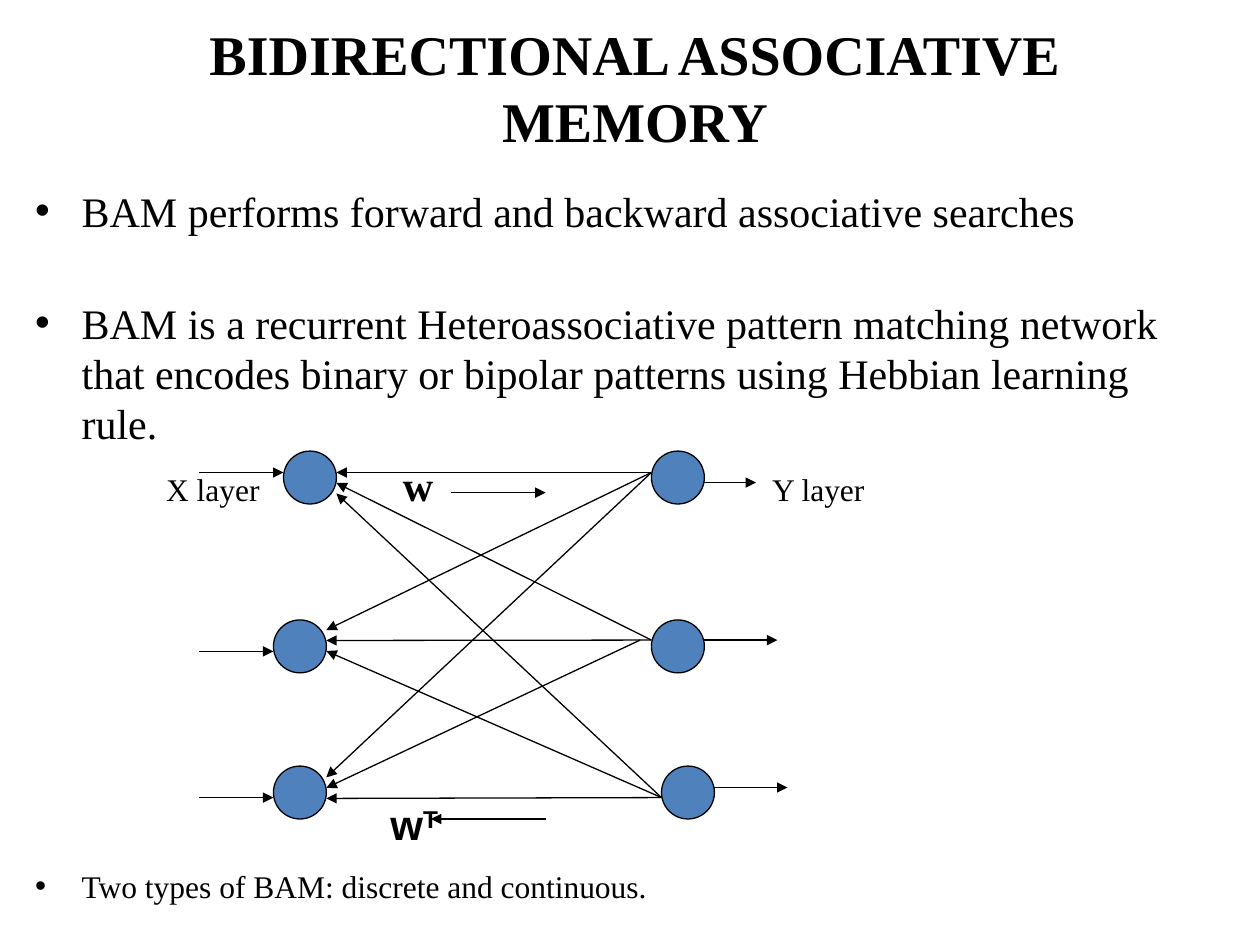
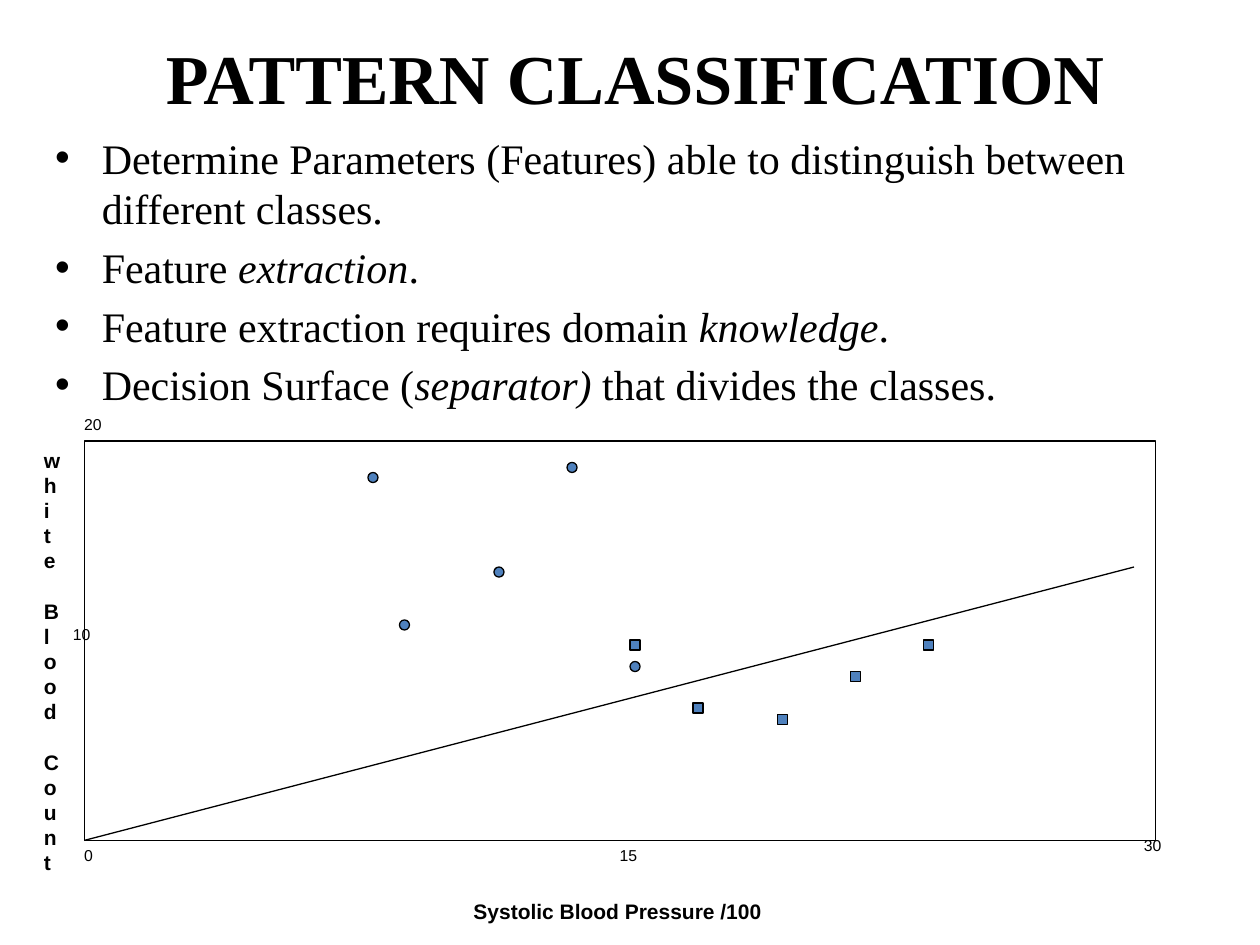
from lxml import etree
from pptx import Presentation
from pptx.dml.color import RGBColor
from pptx.enum.shapes import MSO_CONNECTOR as Connector, MSO_SHAPE as Shape
from pptx.enum.text import MSO_ANCHOR as Anchor, PP_ALIGN as Align
from pptx.oxml.ns import qn
from pptx.util import Inches, Pt

COLORS = {"ink": "000000", "marker": "4F81BD"}
SERIF, SANS = "Times New Roman", "Arial"


class SlideBuilder:
    """Holds the shared style and the slide being drawn."""

    def __init__(self, presentation):
        self.presentation = presentation
        self.slide = None

    def new_slide(self):
        self.slide = self.presentation.slides.add_slide(self.presentation.slide_layouts[6])

    def color(self, name):
        return RGBColor.from_string(COLORS[name])

    def frame(self, left, top, width, height, wrap=True):
        box = self.slide.shapes.add_textbox(
            Inches(left), Inches(top), Inches(width), Inches(height))
        box.text_frame.word_wrap = wrap
        return box.text_frame

    def style(self, run, size, font=SERIF, bold=False, italic=False):
        run.font.size = Pt(size)
        run.font.name = font
        run.font.bold = bold
        run.font.italic = italic
        run.font.color.rgb = self.color("ink")

    def title(self, text, height, size):
        text_frame = self.frame(0.58, 0.3, 8.92, height)
        text_frame.text = text
        text_frame.vertical_anchor = Anchor.MIDDLE
        paragraph = text_frame.paragraphs[0]
        paragraph.alignment = Align.CENTER
        self.style(paragraph.runs[0], size, bold=True)

    def label(self, text, left, top, width, height, size, wrap=True, **style):
        text_frame = self.frame(left, top, width, height, wrap)
        text_frame.text = text
        for paragraph in text_frame.paragraphs:
            self.style(paragraph.runs[0], size, **style)
        return text_frame

    def bullets(self, items, left, top, width, height):
        """Each item is (parts, size, space before); every second part is italic."""
        text_frame = self.frame(left, top, width, height)
        for index, (parts, size, space) in enumerate(items):
            paragraph = text_frame.add_paragraph() if index else text_frame.paragraphs[0]
            paragraph.space_before = Pt(space)
            for position, part in enumerate(parts):
                run = paragraph.add_run()
                run.text = part
                self.style(run, size, italic=position % 2 == 1)
            properties = paragraph._p.get_or_add_pPr()
            properties.set("marL", str(Inches(0.38)))
            properties.set("indent", str(Inches(-0.37)))
            bullet_font = etree.SubElement(properties, qn("a:buFont"))
            bullet_font.set("typeface", SANS)
            etree.SubElement(properties, qn("a:buChar")).set("char", "•")

    def shape(self, kind, left, top, width, height, fill=None):
        shape = self.slide.shapes.add_shape(
            kind, Inches(left), Inches(top), Inches(width), Inches(height))
        shape.shadow.inherit = False
        if fill:
            shape.fill.solid()
            shape.fill.fore_color.rgb = self.color(fill)
        else:
            shape.fill.background()
        shape.line.color.rgb = self.color("ink")
        shape.line.width = Pt(0.75)

    def line(self, start, end, arrow=True):
        connector = self.slide.shapes.add_connector(
            Connector.STRAIGHT, *(Inches(value) for value in (*start, *end)))
        connector.line.color.rgb = self.color("ink")
        connector.line.width = Pt(0.75)
        if arrow:
            tail = etree.SubElement(connector.line._get_or_add_ln(), qn("a:tailEnd"))
            tail.set("type", "triangle")
        etree.SubElement(connector._element.spPr, qn("a:effectLst"))


def build_memory_slide(builder):
    builder.new_slide()
    builder.title("BIDIRECTIONAL ASSOCIATIVE MEMORY", 0.78, 32)
    builder.bullets([
        (["BAM performs forward and backward associative searches"], 24, 4.8),
        (["BAM is a recurrent Heteroassociative pattern matching network that encodes "
          "binary or bipolar patterns using Hebbian learning rule."], 24, 35.2),
        (["Two types of BAM: discrete and continuous."], 18, 239),
    ], 0.17, 1.42, 9.33, 5.58)

    # Layer and weight labels
    builder.label("X layer", 1.22, 3.68, 1.0, 0.4, 18)
    builder.label("w", 3.1, 3.6, 0.5, 0.5, 24, bold=True)
    builder.label("Y layer", 6.03, 3.68, 1.1, 0.4, 18)

    # Neurons of both layers
    diameter = 0.42
    tops = [3.58, 4.92, 6.08]
    x_lefts, y_lefts = [2.25, 2.17, 2.17], [5.17, 5.17, 5.25]
    for top, x_left, y_left in zip(tops, x_lefts, y_lefts):
        for left in (x_left, y_left):
            builder.shape(Shape.OVAL, left, top, diameter, diameter, "marker")

    # Every Y neuron feeds every X neuron, arrowheads stepping down
    link_starts = [3.75, 5.08, 6.33]
    link_ends = [3.75, 5.0, 6.17]
    for source, (y_left, start_y) in enumerate(zip(y_lefts, link_starts)):
        for target, (x_left, end_y) in enumerate(zip(x_lefts, link_ends)):
            start_x = 5.08 if (source, target) == (1, 2) else y_left
            builder.line((start_x, start_y), (x_left + diameter, end_y + source / 12))

    # Inputs and outputs
    for x_left, y in zip(x_lefts, [3.75, 5.17, 6.33]):
        builder.line((1.58, y), (x_left, y))
    for y_left, y, end_x in zip(y_lefts, [3.83, 5.08, 6.25], [6.0, 6.17, 6.25]):
        builder.line((y_left + diameter, y), (end_x, y))

    # Forward and backward directions
    builder.line((3.58, 3.91), (4.33, 3.91))
    builder.line((4.33, 6.5), (3.42, 6.5))
    text_frame = builder.label("w", 3, 6.29, 0.68, 0.5, 24, font=SANS, bold=True)
    transpose = text_frame.paragraphs[0].add_run()
    transpose.text = "T"
    builder.style(transpose, 24, SANS, bold=True)
    transpose.font._element.set("baseline", "30000")


def build_classification_slide(builder):
    builder.new_slide()
    builder.title("PATTERN CLASSIFICATION", 0.62, 40)
    features = [
        ["Determine Parameters (Features) able to distinguish between different classes."],
        ["Feature ", "extraction", "."],
        ["Feature extraction requires domain ", "knowledge", "."],
        ["Decision Surface (", "separator) ", "that divides the classes."],
    ]
    builder.bullets([(parts, 24, 4.8) for parts in features], 0.33, 1, 9.17, 6)

    # Plot area and separator
    builder.shape(Shape.RECTANGLE, 0.67, 3.5, 8.5, 3.17)
    builder.line((0.67, 6.67), (9, 4.5), arrow=False)

    # Samples of the two classes
    samples = {
        Shape.RECTANGLE: [(5.5, 5.58), (6.75, 5.33), (6.17, 5.67), (7.33, 5.08), (5, 5.08)],
        Shape.OVAL: [(5, 5.25), (3.92, 4.5), (2.92, 3.75), (3.17, 4.92), (4.5, 3.67)],
    }
    for kind, points in samples.items():
        for left, top in points:
            builder.shape(kind, left, top, 0.08, 0.08, "marker")

    # Axis values
    ticks = [("0", 0.57, 6.66), ("15", 4.82, 6.66), ("30", 8.98, 6.58),
             ("10", 0.48, 4.91), ("20", 0.57, 3.24)]
    for text, left, top in ticks:
        builder.label(text, left, top, 0.34, 0.25, 9, wrap=False, font=SANS)

    # Axis names, the vertical one with a letter per line
    builder.label("Systolic Blood Pressure /100", 3.66, 7.08, 2.6, 0.3, 12,
                  font=SANS, bold=True)
    words = ["white", "Blood", "Count"]
    text_frame = builder.label("\n".join("".join(words)), 0.25, 3.5, 0.42, 3.73, 12,
                               font=SANS, bold=True)
    for paragraph in text_frame.paragraphs[5::5]:
        paragraph.space_before = Pt(14.3)


def main():
    presentation = Presentation()
    presentation.slide_width = Inches(10)
    presentation.slide_height = Inches(7.5)
    builder = SlideBuilder(presentation)
    build_memory_slide(builder)
    build_classification_slide(builder)
    presentation.save("out.pptx")


if __name__ == "__main__":
    main()
